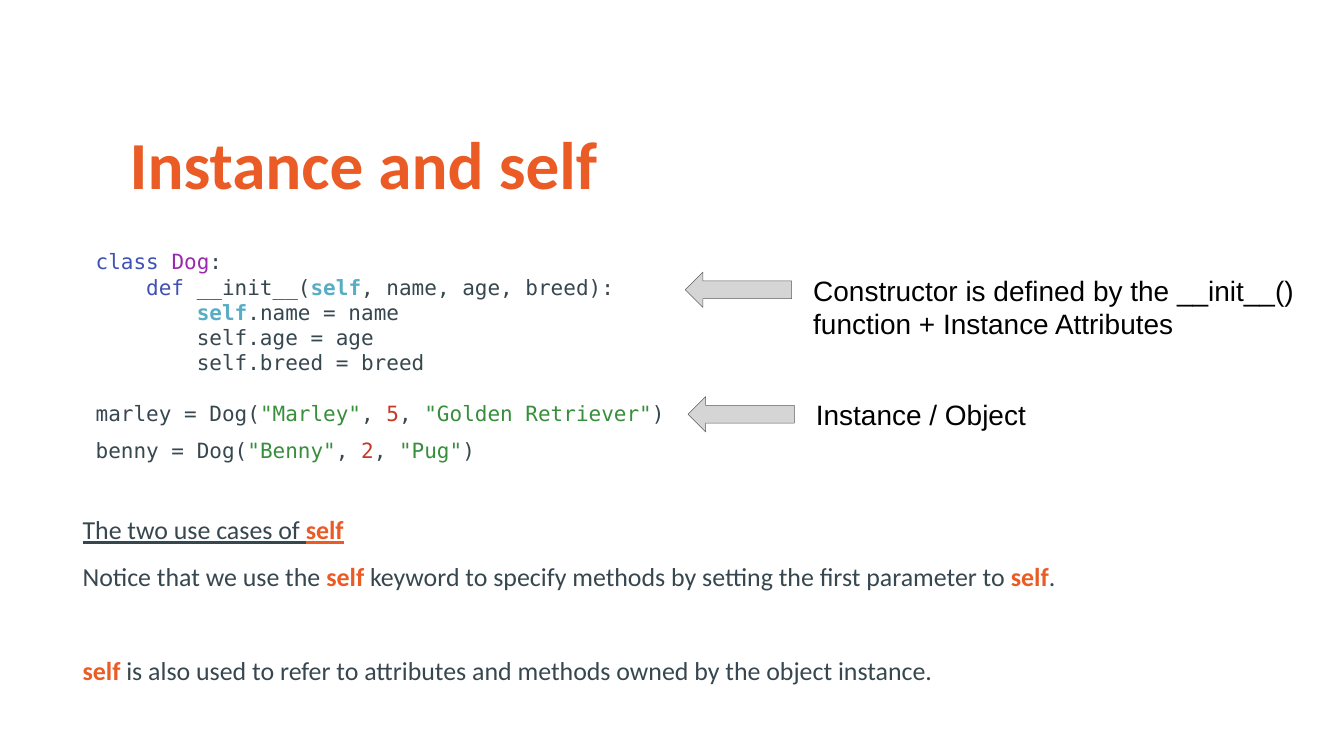
from dataclasses import dataclass

from pptx import Presentation
from pptx.dml.color import RGBColor
from pptx.enum.shapes import MSO_SHAPE as Shape
from pptx.enum.text import MSO_ANCHOR as Anchor, MSO_AUTO_SIZE as AutoSize, PP_ALIGN as Align
from pptx.slide import Slide
from pptx.util import Pt

COLORS = {
    "plain": "37474F", "keyword": "3F51B5", "class": "9C27B0", "self": "58ADC5",
    "string": "388E3C", "number": "C53929", "accent": "EA5B25", "black": "000000",
}
BOLD = {"self", "accent"}
CODE_INDENT = 72.24


def color(value):
    return RGBColor.from_string(value)


@dataclass
class Composer:
    page: Slide
    prose_font: str = "Calibri"
    code_font: str = "DejaVu Sans Mono"
    label_font: str = "Arial"
    inset: float = 7.2

    def prepare(self, frame):
        frame.word_wrap = True
        frame.auto_size = AutoSize.NONE
        frame.vertical_anchor = Anchor.TOP
        frame.margin_left = frame.margin_right = Pt(self.inset)
        frame.margin_top = frame.margin_bottom = Pt(self.inset)

    def format(self, span, font, size, role):
        span.font.name = font
        span.font.size = Pt(size)
        span.font.bold = role in BOLD
        span.font.color.rgb = color(COLORS[role])

    def title(self, text, left, top, width, height):
        box = self.page.shapes.title
        box.left, box.top, box.width, box.height = map(Pt, (left, top, width, height))
        self.prepare(box.text_frame)
        box.text_frame.text = text
        para = box.text_frame.paragraphs[0]
        para.alignment = Align.LEFT
        para.line_spacing = 0.8
        self.format(para.runs[0], self.prose_font, 96, "accent")

    def text(self, left, top, width, height):
        box = self.page.shapes.add_textbox(*map(Pt, (left, top, width, height)))
        self.prepare(box.text_frame)
        return box.text_frame

    def rich_text(self, frame, lines, font, size):
        for index, (layout, pieces) in enumerate(lines):
            para = frame.add_paragraph() if index else frame.paragraphs[0]
            para.line_spacing = layout.get("spacing", 1.0)
            para.space_before = Pt(layout.get("before", 0))
            indent = Pt(CODE_INDENT * layout.get("level", 0))
            para._p.get_or_add_pPr().set("marL", str(indent))
            for text, role in pieces:
                span = para.add_run()
                span.text = text
                self.format(span, font, size, role)
                if layout.get("underline"):
                    span.font.underline = True

    def code(self, lines, *area):
        self.rich_text(self.text(*area), lines, self.code_font, 30)

    def prose(self, lines, *area):
        self.rich_text(self.text(*area), lines, self.prose_font, 37)

    def arrow(self, left, top):
        arrow = self.page.shapes.add_shape(Shape.LEFT_ARROW, Pt(left), Pt(top), Pt(152), Pt(50.4))
        arrow.shadow.inherit = False
        arrow.fill.solid()
        arrow.fill.fore_color.rgb = color("D5D5D5")
        arrow.line.color.rgb = color("5E5E5E")
        arrow.line.width = Pt(0.75)

    def callout(self, text, left, top, width, height):
        self.arrow(left, top)
        para = self.text(left + 175.7, top - 5.8, width, height).paragraphs[0]
        para.text = text
        for span in para.runs:
            self.format(span, self.label_font, 40, "black")


def instance(variable, name, age, breed):
    return [
        (f"{variable} = Dog(", "plain"), (f'"{name}"', "string"), (", ", "plain"),
        (age, "number"), (", ", "plain"), (f'"{breed}"', "string"), (")", "plain"),
    ]


CODE = [
    ({}, [("class ", "keyword"), ("Dog", "class"), (":", "plain")]),
    ({"level": 1}, [("def", "keyword"), (" __init__(", "plain"), ("self", "self"),
                    (", name, age, breed):", "plain")]),
    ({"level": 2}, [("self", "self"), (".name = name", "plain")]),
    ({"level": 2}, [("self.age = age", "plain")]),
    ({"level": 2}, [("self.breed = breed", "plain")]),
    ({"before": 36}, instance("marley", "Marley", "5", "Golden Retriever")),
    ({"spacing": 1.5}, instance("benny", "Benny", "2", "Pug")),
]
USE_CASES = [
    ({"spacing": 1.5, "underline": True}, [("The two use cases of ", "plain"), ("self", "accent")]),
    ({"spacing": 1.5}, [
        ("Notice that we use the ", "plain"), ("self", "accent"),
        (" keyword to specify methods by setting the first parameter to ", "plain"),
        ("self", "accent"), (".", "plain"),
    ]),
    ({"spacing": 1.5, "before": 67}, [
        ("self", "accent"),
        (" is also used to refer to attributes and methods owned by the object instance.", "plain"),
    ]),
]


def main():
    deck = Presentation()
    deck.slide_width, deck.slide_height = Pt(1920), Pt(1080)
    composer = Composer(deck.slides.add_slide(deck.slide_layouts[5]))
    composer.title("Instance and self", 178, 190, 1564, 158)
    composer.code(CODE, 129.6, 348.5, 853, 415)
    composer.callout("Constructor is defined by the __init__()\vfunction + Instance Attributes",
                     979, 388.8, 748, 112)
    composer.callout("Instance / Object", 982.8, 566.6, 329, 63)
    composer.prose(USE_CASES, 110.9, 705, 1719, 368)
    deck.save("out.pptx")


if __name__ == "__main__":
    main()
